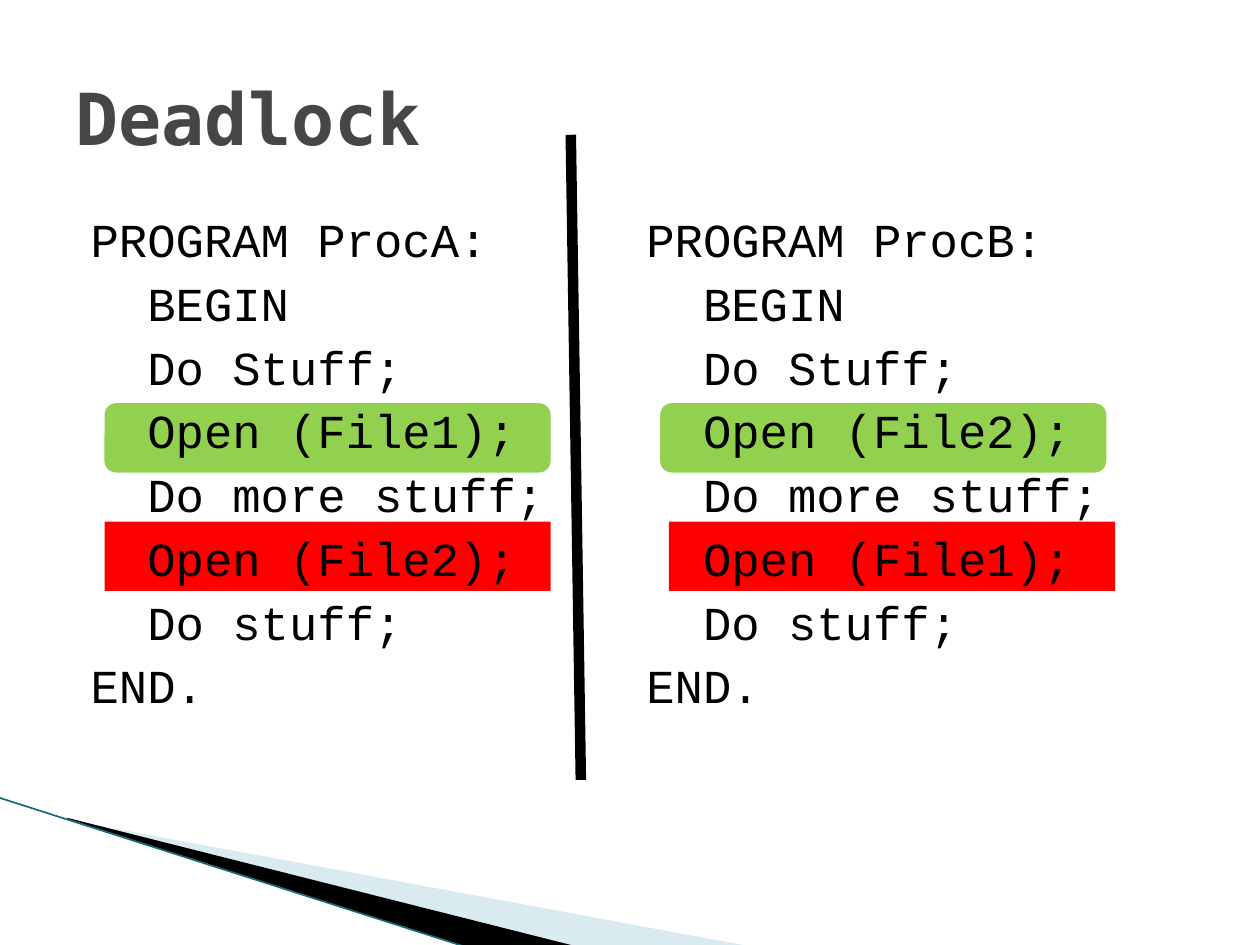
from lxml.etree import SubElement
from pptx import Presentation
from pptx.dml.color import RGBColor
from pptx.enum.shapes import MSO_CONNECTOR, MSO_SHAPE
from pptx.enum.text import MSO_ANCHOR
from pptx.oxml.ns import qn
from pptx.util import Inches, Pt

BLACK, GREEN, RED = "000000", "92D050", "FF0000"
CODE_FORMAT = {"name": "Courier New", "size": Pt(27), "bold": False}
TITLE_FORMAT = {"name": "DejaVu Sans Mono", "size": Pt(41), "bold": True}
CODE_TOP, CODE_HEIGHT = 1.62, 4.95
MARK_WIDTH, MARK_HEIGHT = 3.54, 0.55
FIRST_MARK_TOP, SECOND_MARK_TOP = 3.2, 4.14


def color(value):
    return RGBColor.from_string(value)


def fill_plain(shape, value):
    shape.shadow.inherit = False
    shape.fill.solid()
    shape.fill.fore_color.rgb = color(value)
    shape.line.fill.background()


def add_line(page, start, end, value, width):
    line = page.shapes.add_connector(
        MSO_CONNECTOR.STRAIGHT, *(Inches(length) for length in start + end))
    line.line.color.rgb = color(value)
    line.line.width = Pt(width)
    SubElement(line._element.spPr, qn("a:effectLst"))


def add_wedge(page, points, value, opacity=100):
    builder = page.shapes.build_freeform(
        *(Inches(length) for length in points[0]))
    builder.add_line_segments(
        [(Inches(x), Inches(y)) for x, y in points[1:]], close=True)
    wedge = builder.convert_to_shape()
    fill_plain(wedge, value)
    if opacity < 100:
        tint = wedge._element.spPr.find(qn("a:solidFill"))[0]
        SubElement(tint, qn("a:alpha"), val=str(opacity * 1000))


def add_text(page, box, lines, text_format, value):
    frame = page.shapes.add_textbox(
        *(Inches(length) for length in box)).text_frame
    frame.word_wrap = True
    for index, line in enumerate(lines):
        para = frame.paragraphs[0] if index == 0 else frame.add_paragraph()
        span = para.add_run()
        span.text = line
        for name, setting in text_format.items():
            setattr(span.font, name, setting)
        span.font.color.rgb = color(value)
    return frame


def add_corner(page):
    add_wedge(page, [(0.55, 6.51), (5.95, 7.51), (4.56, 7.51), (0.55, 6.5)],
              "A0CBDC", 40)
    add_wedge(page, [(0.53, 6.49), (4.57, 7.51), (3.72, 7.52), (0.54, 6.5)],
              BLACK)
    add_line(page, (-0.01, 6.33), (3.71, 7.52), "17697B", 0.95)


def add_title(page, box, title):
    frame = add_text(page, box, [title], TITLE_FORMAT, "464646")
    frame.vertical_anchor = MSO_ANCHOR.MIDDLE


def add_program(page, left, width, name, files, mark_lefts):
    """Place one listing over the marks behind its two Open calls."""
    marks = zip((MSO_SHAPE.ROUNDED_RECTANGLE, MSO_SHAPE.RECTANGLE),
                mark_lefts, (FIRST_MARK_TOP, SECOND_MARK_TOP), (GREEN, RED))
    for kind, mark_left, top, value in marks:
        mark = page.shapes.add_shape(
            kind, Inches(mark_left), Inches(top),
            Inches(MARK_WIDTH), Inches(MARK_HEIGHT))
        fill_plain(mark, value)
    first, second = files
    code = [f"PROGRAM {name}:", "  BEGIN", "  Do Stuff;",
            f"  Open ({first});", "  Do more stuff;",
            f"  Open ({second});", "  Do stuff;", "END."]
    frame = add_text(page, (left, CODE_TOP, width, CODE_HEIGHT),
                     code, CODE_FORMAT, BLACK)
    frame.margin_left = Inches(0.22)
    for para in frame.paragraphs[1:]:
        para.space_before = Pt(4)


def main():
    deck = Presentation()
    deck.slide_width, deck.slide_height = Inches(10), Inches(7.5)
    page = deck.slides.add_slide(deck.slide_layouts[6])
    add_corner(page)
    add_program(page, 0.5, 9, "ProcA", ("File1", "File2"), (0.83, 0.83))
    add_program(page, 4.91, 4.5, "ProcB", ("File2", "File1"), (5.24, 5.31))
    add_title(page, (0.5, 0.3, 9, 1.25), "Deadlock")
    add_line(page, (4.53, 1.07), (4.61, 6.19), BLACK, 6)
    deck.save("out.pptx")


if __name__ == "__main__":
    main()
